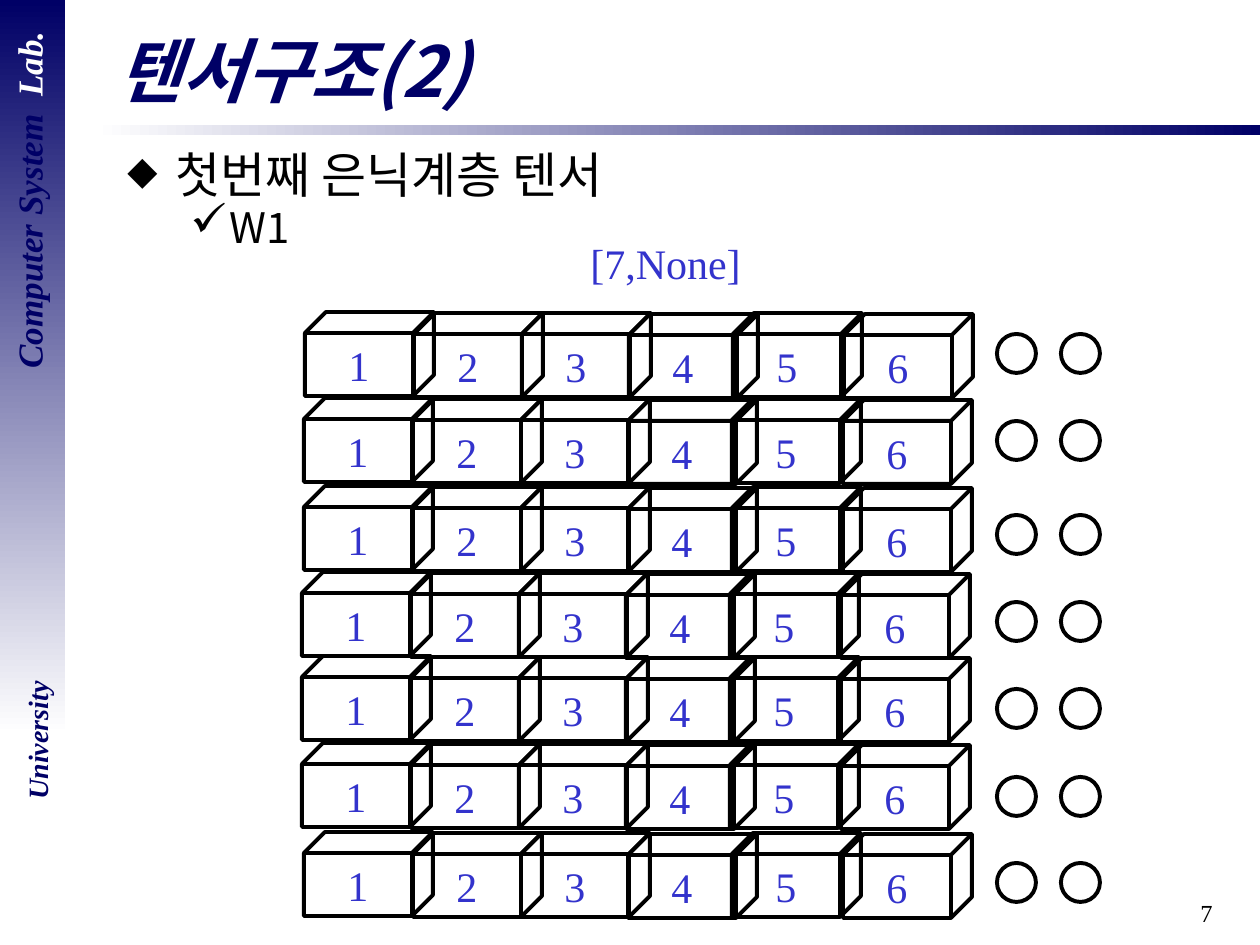
from lxml.etree import SubElement
from pptx import Presentation
from pptx.dml.color import RGBColor
from pptx.enum.shapes import MSO_SHAPE
from pptx.enum.text import MSO_ANCHOR, PP_ALIGN
from pptx.oxml.ns import qn
from pptx.util import Emu, Pt

INK = {"navy": "000066", "white": "FFFFFF", "black": "000000", "blue": "3333CC"}
SERIF, SANS = "Times New Roman", "Noto Sans CJK KR"
ALIGN = {"l": PP_ALIGN.LEFT, "c": PP_ALIGN.CENTER, "r": PP_ALIGN.RIGHT}


def px(num):
    """Turn pixels into EMU."""
    return Emu(round(num * 914400 / 126))


def rgb(name):
    """Look up a colour by name."""
    return RGBColor.from_string(INK[name])


def write(para, text, size=24, font=SERIF, ink="blue", bold=False, slant=False, align="l"):
    """Add one run of text to a paragraph."""
    para.alignment = ALIGN[align]
    run = para.add_run()
    run.text = text
    face = run.font
    face.size, face.name, face.bold, face.italic = Pt(size), font, bold, slant
    face.color.rgb = rgb(ink)
    SubElement(face._element, qn("a:ea"), typeface=font)


def label(slide, box, text="", turn=0, wrap=True, mid=False, **form):
    """Place a text box and return its first paragraph."""
    shape = slide.shapes.add_textbox(*map(px, box))
    shape.rotation = turn
    frame = shape.text_frame
    frame.word_wrap = wrap
    frame.vertical_anchor = MSO_ANCHOR.MIDDLE if mid else MSO_ANCHOR.TOP
    para = frame.paragraphs[0]
    if text:
        write(para, text, **form)
    return para


def bullet(para, mark, size, left, hang):
    """Give a paragraph a hanging bullet."""
    props = para._p.get_or_add_pPr()
    props.set("marL", str(px(left)))
    props.set("indent", str(-px(hang)))
    SubElement(props, qn("a:buSzPct"), val=str(size * 1000))
    SubElement(props, qn("a:buChar"), char=mark)


def band(slide, box, first, last, angle):
    """Draw a bar that fades between two colours."""
    shape = slide.shapes.add_shape(MSO_SHAPE.RECTANGLE, *map(px, box))
    shape.shadow.inherit = False
    shape.line.fill.background()
    shape.fill.gradient()
    shape.fill.gradient_angle = angle
    for stop, name in zip(shape.fill.gradient_stops, (first, last)):
        stop.color.rgb = rgb(name)


def outline(slide, kind, box):
    """Draw an unfilled shape with a black line."""
    shape = slide.shapes.add_shape(kind, *map(px, box))
    shape.shadow.inherit = False
    shape.fill.background()
    shape.line.color.rgb = rgb("black")
    shape.line.width = Pt(2.25)
    return shape


def frame(slide):
    """Draw the rule, the side bar, its labels and the page number."""
    band(slide, (94, 125, 1166, 10), "white", "navy", 0)
    label(slide, (963, 892, 262, 53), "7", size=14, ink="black", align="r")
    band(slide, (0, 0, 65, 735), "navy", "white", 270)
    form = dict(bold=True, slant=True, align="c")
    side = label(slide, (-165, 173, 387, 54), "Computer System  ", turn=270,
                 size=20, ink="navy", **form)
    write(side, "Lab.", size=20, ink="white", **form)
    label(slide, (-52, 717, 179, 47), "University", turn=270, size=16, ink="navy", **form)


def body(slide, box):
    """Write the bulleted points."""
    first = label(slide, box)
    second = first._parent.add_paragraph()
    second.level = 1
    points = ((first, "첫번째 은닉계층 텐서", 28, "◆", 80, 48, 48),
              (second, "W1", 24, "✓", 110, 102, 39))
    for para, text, size, mark, scale, left, hang in points:
        para.line_spacing = 0.9
        para.space_before = Pt(2)
        bullet(para, mark, scale, left, hang)
        write(para, text, size=size, font=SANS, ink="black")


def cubes(slide, left, top):
    """Draw one row of numbered cubes."""
    steps = ((0, 0), (109, 1), (217, 1), (324, 2), (428, 1), (539, 2))
    for num, (dx, dy) in enumerate(steps, 1):
        cube = outline(slide, MSO_SHAPE.CUBE, (left + dx, top + dy, 129, 84))
        text = cube.text_frame
        text.vertical_anchor = MSO_ANCHOR.MIDDLE
        write(text.paragraphs[0], str(num), align="c")


def dots(slide, left, top):
    """Draw the two circles that continue a row."""
    for col in range(2):
        outline(slide, MSO_SHAPE.OVAL, (left + 64 * col, top, 39, 39))


def tensor(slide, left, top):
    """Draw the labelled stack of cube rows."""
    label(slide, (left + 276, top - 81, 262, 63), "[7,None]", wrap=False)
    rows = ((3, 0, 22), (2, 86, 109), (2, 174, 203), (0, 260, 290),
            (0, 344, 377), (0, 431, 465), (2, 520, 551))
    for dx, dy, drop in rows:
        cubes(slide, left + dx, top + dy)
        dots(slide, left + 695, top + drop)


def main():
    """Build and save the slide."""
    deck = Presentation()
    deck.slide_width, deck.slide_height = px(1260), px(945)
    slide = deck.slides.add_slide(deck.slide_layouts[6])
    frame(slide)
    body(slide, (115, 145, 1101, 727))
    label(slide, (105, 21, 1121, 97), "텐서구조(2)", mid=True, size=40,
          font=SANS, ink="navy", bold=True, slant=True)
    tensor(slide, 302, 312)
    deck.save("out.pptx")


if __name__ == "__main__":
    main()
